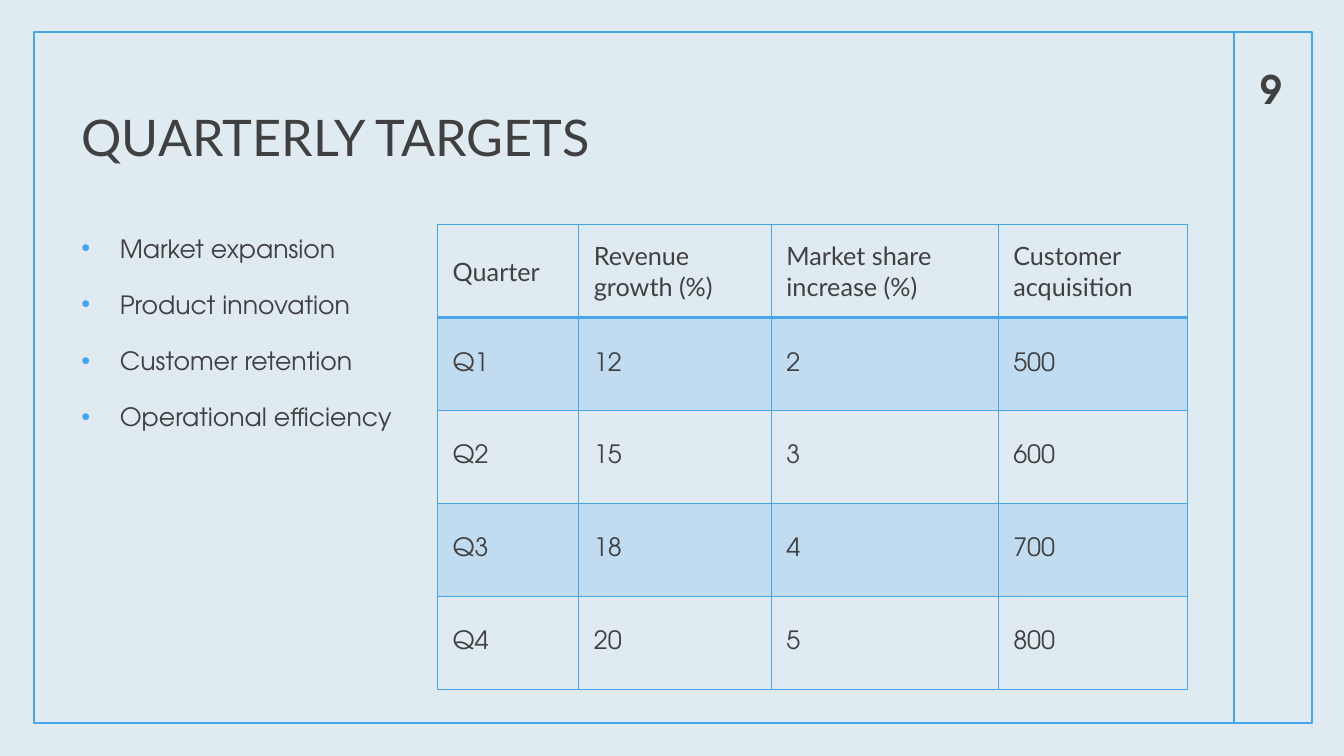
import pptx
import pptx.dml.color
import pptx.enum.shapes
import pptx.enum.text
import pptx.oxml
import pptx.oxml.ns
import pptx.util
from lxml import etree

WIDTH, HEIGHT = 13.33, 7.5
BLUE, INK, PAPER = "45A5ED", "404040", "F2F2F2"
HEADING_FONT, BODY_FONT = "Lato", "TeX Gyre Adventor"
ANCHOR = pptx.enum.text.MSO_ANCHOR
ALIGN = pptx.enum.text.PP_ALIGN
RECTANGLE = pptx.enum.shapes.MSO_SHAPE.RECTANGLE
Inches, Pt = pptx.util.Inches, pptx.util.Pt
qn = pptx.oxml.ns.qn

GOALS = ["Market expansion", "Product innovation",
         "Customer retention", "Operational efficiency"]
TARGETS = [
    ["Quarter", "Revenue growth (%)", "Market share increase (%)", "Customer acquisition"],
    ["Q1", "12", "2", "500"],
    ["Q2", "15", "3", "600"],
    ["Q3", "18", "4", "700"],
    ["Q4", "20", "5", "800"],
]
COLUMN_WIDTHS = [1.4, 1.91, 2.25, 1.88]


def color(value):
    return pptx.dml.color.RGBColor.from_string(value)


def inches(area):
    return [Inches(length) for length in area]


def style(para, size, font, bold=False):
    for span in para.runs:
        span.font.size = Pt(size)
        span.font.name = font
        span.font.bold = bold
        span.font.color.rgb = color(INK)


def tint(fill, value, percent):
    """Fill with a partly transparent colour."""
    fill.solid()
    fill.fore_color.rgb = color(value)
    tone = fill._xPr.find(".//" + qn("a:srgbClr"))
    etree.SubElement(tone, qn("a:alpha"), val=str(percent * 1000))


def add_bullet(para, indent):
    props = para._p.get_or_add_pPr()
    props.set("marL", str(Inches(indent)))
    props.set("indent", str(-Inches(indent)))
    tone = etree.SubElement(props, qn("a:buClr"))
    etree.SubElement(tone, qn("a:srgbClr"), val=BLUE)
    etree.SubElement(props, qn("a:buFont"), typeface="Arial")
    etree.SubElement(props, qn("a:buChar"), char="•")


def add_borders(cell, widths):
    """Draw the left, right, top and bottom edges of a cell."""
    props = cell._tc.get_or_add_tcPr()
    for place, (side, width) in enumerate(zip("LRTB", widths)):
        edge = etree.Element(qn("a:ln" + side), w=str(Pt(width)))
        paint = etree.SubElement(edge, qn("a:solidFill"))
        etree.SubElement(paint, qn("a:srgbClr"), val=BLUE)
        props.insert(place, edge)


def add_text_box(page, area, anchor):
    frame = page.shapes.add_textbox(*inches(area)).text_frame
    frame.word_wrap = True
    frame.vertical_anchor = anchor
    return frame


def add_backdrop(page, area, divider):
    """Tinted page, outlined frame and the line beside the page number."""
    page.background.fill.solid()
    page.background.fill.fore_color.rgb = color(PAPER)

    wash = page.shapes.add_shape(RECTANGLE, *inches((0, 0, WIDTH, HEIGHT)))
    wash.shadow.inherit = False
    tint(wash.fill, BLUE, 10)
    wash.line.fill.background()

    left, top, width, height = area
    rule = page.shapes.add_connector(
        pptx.enum.shapes.MSO_CONNECTOR.STRAIGHT,
        *inches((divider, top, divider, top + height)))
    etree.SubElement(rule._element.spPr, qn("a:effectLst"))
    border = page.shapes.add_shape(RECTANGLE, *inches(area))
    border.shadow.inherit = False
    border.fill.background()
    for outline in (rule.line, border.line):
        outline.color.rgb = color(BLUE)
        outline.width = Pt(1.25)


def place_title(page, area, text):
    title = page.shapes.title
    page.shapes.element.append(title.element)  # bring in front of the backdrop
    title.left, title.top, title.width, title.height = inches(area)
    frame = title.text_frame
    frame.text = text
    frame.word_wrap = True
    frame.auto_size = pptx.enum.text.MSO_AUTO_SIZE.NONE
    frame.vertical_anchor = ANCHOR.MIDDLE
    para = frame.paragraphs[0]
    para.alignment = ALIGN.LEFT
    style(para, 36, HEADING_FONT)


def add_goals(page, area):
    frame = add_text_box(page, area, ANCHOR.TOP)
    frame.text = "\n".join(GOALS)
    for index, para in enumerate(frame.paragraphs):
        add_bullet(para, 0.38)
        para.line_spacing = Pt(24)
        para.space_before = Pt(10 if index else 0)
        para.space_after = Pt(6)
        style(para, 18, BODY_FONT)


def add_targets(page, area):
    table = page.shapes.add_table(len(TARGETS), len(COLUMN_WIDTHS), *inches(area)).table
    table.horz_banding = False
    for column, width in zip(table.columns, COLUMN_WIDTHS):
        column.width = Inches(width)
    for row, values in enumerate(TARGETS):
        table.rows[row].height = Inches(area[3] / len(TARGETS))
        for column, value in enumerate(values):
            cell = table.cell(row, column)
            cell.text = value
            cell.vertical_anchor = ANCHOR.MIDDLE
            cell.margin_left = Inches(0.15)
            style(cell.text_frame.paragraphs[0], 18, BODY_FONT if row else HEADING_FONT)
            if row % 2:
                tint(cell.fill, BLUE, 20)
            else:
                cell.fill.background()
            # The rule under the header is heavier
            add_borders(cell, (1, 1, 2 if row == 1 else 1, 2 if row == 0 else 1))


def add_page_number(page, area, number):
    frame = add_text_box(page, area, ANCHOR.BOTTOM)
    frame.text = number
    para = frame.paragraphs[0]
    para.alignment = ALIGN.CENTER
    style(para, 28, BODY_FONT, bold=True)


def main():
    deck = pptx.Presentation()
    deck.slide_width, deck.slide_height = Inches(WIDTH), Inches(HEIGHT)
    page = deck.slides.add_slide(deck.slide_layouts.get_by_name("Title Only"))

    margin, content_top, content_height = 0.71, 2.23, 4.61
    add_backdrop(page, (0.34, 0.32, 12.67, 6.85), divider=12.24)
    place_title(page, (margin, 0.67, 11.2, 1.36), "QUARTERLY TARGETS")
    add_goals(page, (margin, content_top, 3.41, content_height))
    add_targets(page, (4.34, content_top, sum(COLUMN_WIDTHS), content_height))
    add_page_number(page, (12.15, 0.32, 0.92, 0.84), "9")
    deck.save("out.pptx")


if __name__ == "__main__":
    main()
